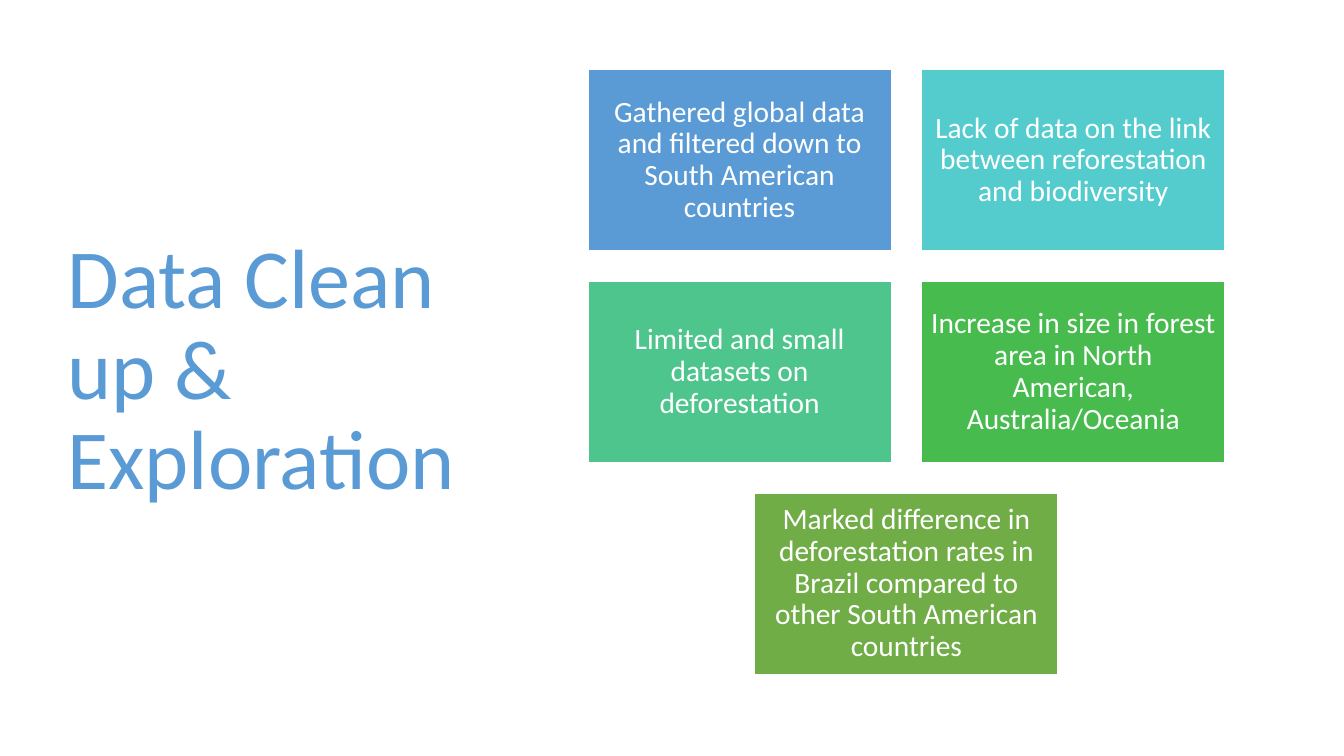
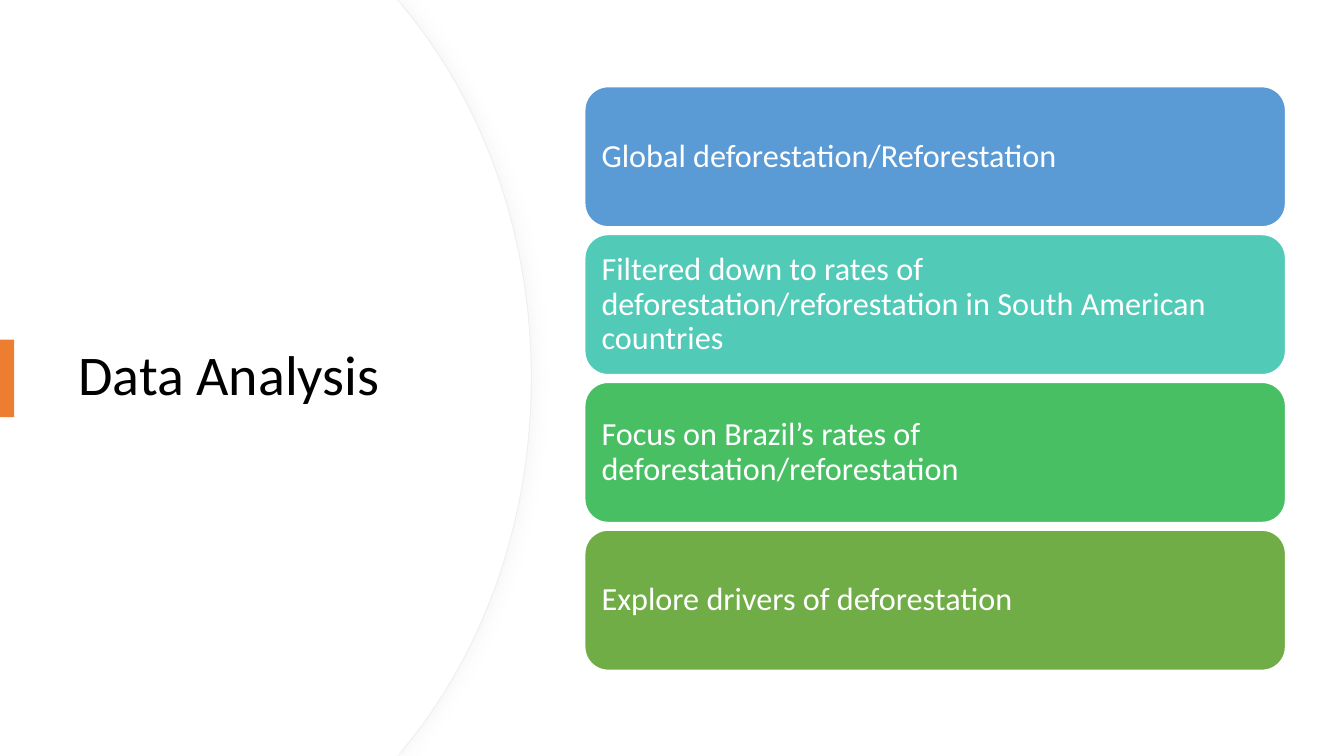
from dataclasses import dataclass
from lxml import etree
from pptx import Presentation
from pptx import util as u
from pptx.dml.color import RGBColor
from pptx.enum import shapes, text
from pptx.oxml import ns

CLEAN = {
    "title": "Data Clean up & Exploration",
    "cards": [
        ("Gathered global data and filtered down to South American countries", "5B9BD5"),
        ("Lack of data on the link between reforestation and biodiversity", "54CCCD"),
        ("Limited and small datasets on deforestation", "4DC58D"),
        ("Increase in size in forest area in North American, Australia/Oceania", "48BB4F"),
        ("Marked difference in deforestation rates in Brazil compared to "
         "other South American countries", "70AD47"),
    ],
}
STUDY = {
    "title": "Data Analysis",
    "cards": [
        ("Global deforestation/Reforestation", "5B9BD5"),
        ("Filtered down to rates of deforestation/reforestation in South American countries",
         "52CAB8"),
        ("Focus on Brazil’s rates of deforestation/reforestation", "49BF64"),
        ("Explore drivers of deforestation", "70AD47"),
    ],
}


@dataclass(frozen=True)
class Theme:
    font: str = "Calibri"
    white: str = "FFFFFF"
    black: str = "000000"
    blue: str = "5B9BD5"
    orange: str = "ED7D31"
    edge: str = "EFEFEF"
    shade: str = "D9D9D9"
    big: int = 60
    head: int = 40
    tile: int = 21
    bar: int = 23
    lead: float = 0.9


T = Theme()
WIDE, HIGH = 13.33, 7.5
KIND = shapes.MSO_SHAPE
ALIGN = text.PP_ALIGN


def paint(shape, fill, line=None, width=1):
    shape.shadow.inherit = False
    shape.fill.solid()
    shape.fill.fore_color.rgb = RGBColor.from_string(fill)
    if line:
        shape.line.color.rgb = RGBColor.from_string(line)
        shape.line.width = u.Pt(width)
    else:
        shape.line.fill.background()


def write(shape, words, size, color, align=ALIGN.LEFT, pad=(0.1, 0.05)):
    frame = shape.text_frame
    frame.word_wrap = True
    frame.vertical_anchor = text.MSO_ANCHOR.MIDDLE
    frame.margin_left = frame.margin_right = u.Inches(pad[0])
    frame.margin_top = frame.margin_bottom = u.Inches(pad[1])
    para = frame.paragraphs[0]
    para.alignment, para.line_spacing = align, T.lead
    run = para.add_run()
    run.text = words
    run.font.name, run.font.size = T.font, u.Pt(size)
    run.font.color.rgb = RGBColor.from_string(color)


def title(slide, words, box, size, color):
    write(slide.shapes.add_textbox(*map(u.Inches, box)), words, size, color)


def card(slide, kind, box, item, size, align, pad):
    words, fill = item
    shape = slide.shapes.add_shape(kind, *map(u.Inches, box))
    paint(shape, fill, T.white)
    write(shape, words, size, T.white, align, (pad, pad))


def tiles(slide, items, cols=2):
    left, top, wide, high, gap = 5.83, 0.69, 3.01, 1.8, 0.3
    across, down = wide + gap, high + gap
    for i, item in enumerate(items):
        row, col = divmod(i, cols)
        count = min(cols, len(items) - row * cols)
        x = left + (col + (cols - count) / 2) * across
        card(slide, KIND.RECTANGLE, (x, top + row * down, wide, high),
             item, T.tile, ALIGN.CENTER, 0.09)


def bars(slide, items):
    left, top, wide, high, last = 5.8, 0.86, 6.95, 1.39, 5.26
    step = (last - top) / (len(items) - 1)
    for i, item in enumerate(items):
        card(slide, KIND.ROUNDED_RECTANGLE, (left, top + i * step, wide, high),
             item, T.bar, ALIGN.LEFT, 0.1)


def bend(shape, first, count):
    lines = list(shape.element.iter(ns.qn("a:lnTo")))
    for i in range(first, first + 3 * count, 3):
        arc = etree.Element(ns.qn("a:cubicBezTo"))
        lines[i].addprevious(arc)
        for line in lines[i:i + 3]:
            arc.append(line[0])
            line.getparent().remove(line)


def panel(slide, right, line=None):
    half = [(3.94, 0), (right - 1.26, 0.08), (right - 0.48, 1.02), (right, 2.32)]
    low = [(x, HIGH - y) for x, y in reversed(half)]
    dots = half + [(right, HIGH / 2)] + low + [(0, HIGH)]
    pen = slide.shapes.build_freeform(0, 0)
    pen.add_line_segments([(u.Inches(x), u.Inches(y)) for x, y in dots], close=True)
    shape = pen.convert_to_shape()
    bend(shape, 2, 2)
    paint(shape, T.white, line, 0.75)
    return shape


def shade(shape):
    glow = shape.element.spPr.find(ns.qn("a:effectLst"))
    cast = etree.SubElement(glow, ns.qn("a:outerShdw"), blurRad=str(u.Pt(10)),
                            dist=str(u.Pt(3)), dir="0", algn="l", rotWithShape="0")
    tint = etree.SubElement(cast, ns.qn("a:srgbClr"), val=T.shade)
    etree.SubElement(tint, ns.qn("a:alpha"), val="20000")


def clean(slide):
    title(slide, CLEAN["title"], (0.57, 0.68, 4.16, 6.02), T.big, T.blue)
    tiles(slide, CLEAN["cards"])


def study(slide):
    shade(panel(slide, 5.27, T.edge))
    panel(slide, 5.26)
    title(slide, STUDY["title"], (0.68, 1.27, 3.94, 4.95), T.head, T.black)
    mark = slide.shapes.add_shape(KIND.RECTANGLE, *map(u.Inches, (0, 3.37, 0.14, 0.77)))
    paint(mark, T.orange)
    bars(slide, STUDY["cards"])


def main():
    deck = Presentation()
    deck.slide_width, deck.slide_height = u.Inches(WIDE), u.Inches(HIGH)
    for draw in (clean, study):
        draw(deck.slides.add_slide(deck.slide_layouts[6]))
    deck.save("out.pptx")


if __name__ == "__main__":
    main()
